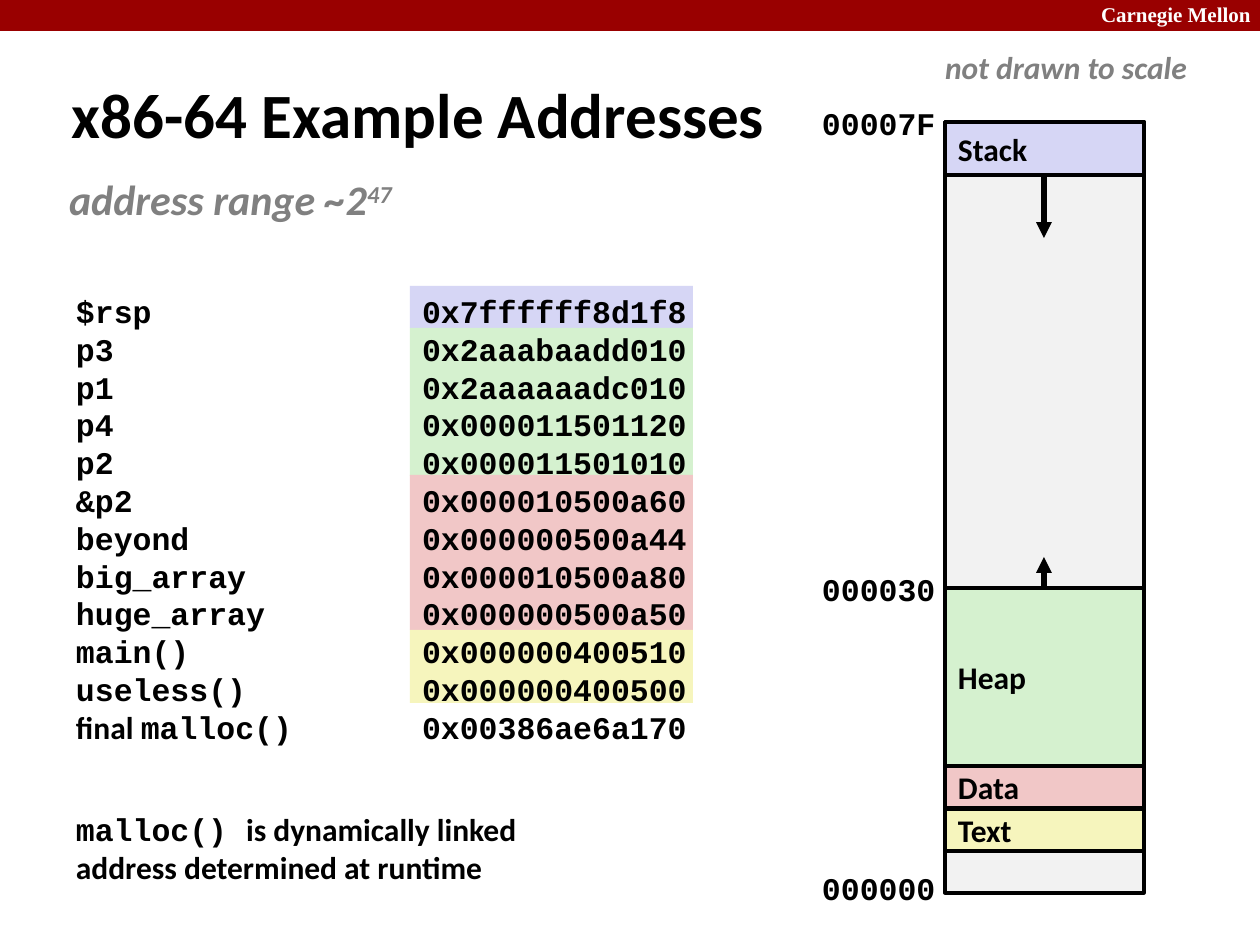
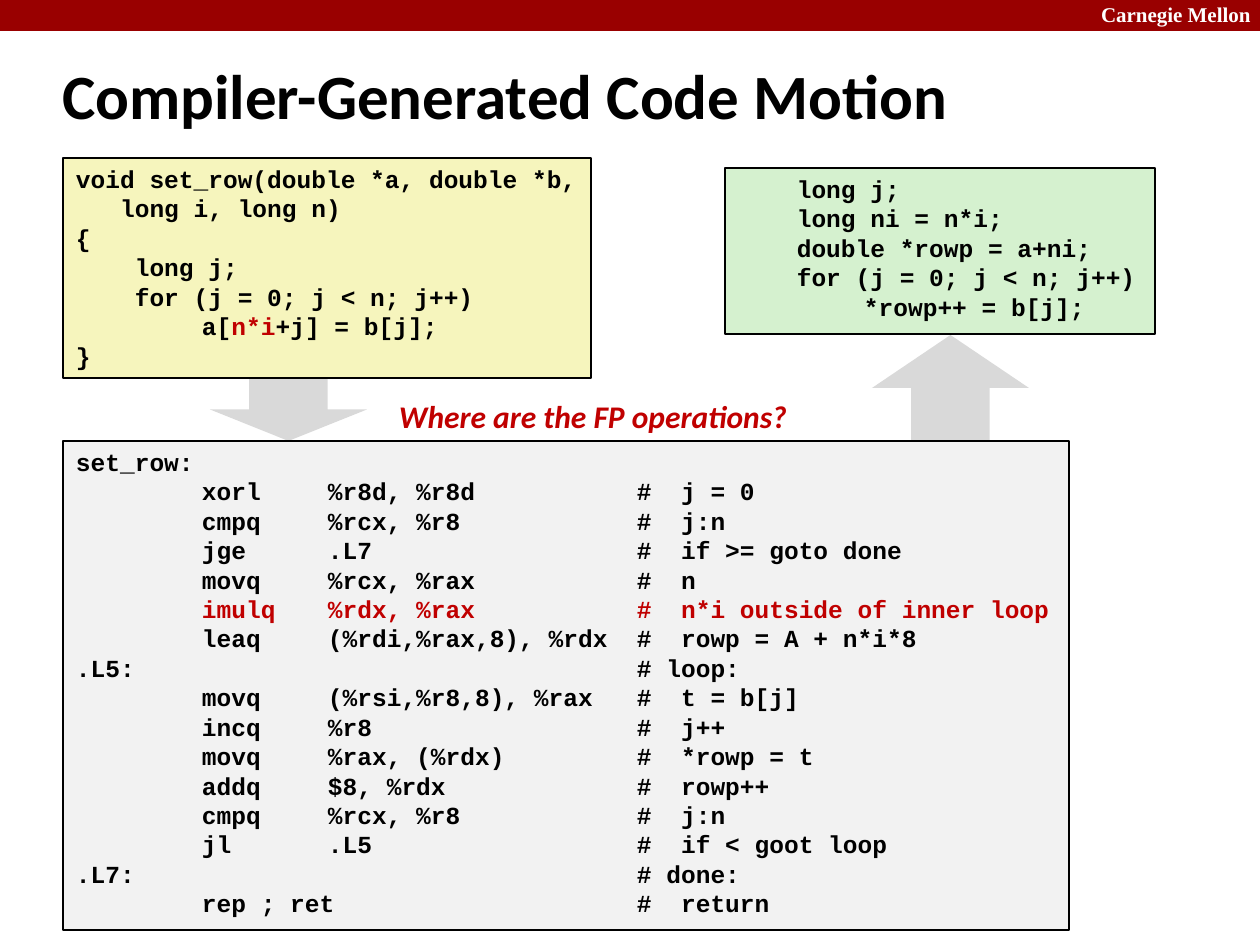
import pptx
import pptx.util
import pptx.dml.color
import pptx.enum.shapes
import pptx.enum.text
import pptx.oxml.ns
from lxml import etree

PX = 914400 / 126  # EMU in one px
COLORS = {
    "band": "990000", "white": "FFFFFF", "black": "000000", "gray": "808080",
    "red": "C00000", "blue": "D6D6F5", "green": "D5F1CF", "pink": "F1C7C7",
    "yellow": "F6F5BD", "pale": "F2F2F2", "arrow": "D9D9D9",
}
SHAPES = pptx.enum.shapes.MSO_SHAPE
MIDDLE = pptx.enum.text.MSO_ANCHOR.MIDDLE


def style(name, size, color="black", **extra):
    return dict(name=name, size=pptx.util.Pt(size), bold=True, color=color, **extra)


TITLE = style("Calibri", 36)
LABEL = style("Calibri", 18)
NOTE = style("Calibri", 18, "gray", italic=True)
RANGE = style("Calibri", 24, "gray", italic=True)
QUESTION = style("Calibri", 18, "red", italic=True)
HEADER = style("Times New Roman", 12, "white")
MONO = style("Courier New", 18)
CODE = style("Courier New", 14)
RED = {"color": "red"}
SANS = {"name": "Calibri"}


def emu(px):
    return round(px * PX)


def rgb(color):
    return pptx.dml.color.RGBColor.from_string(COLORS[color])


def add_tabs(para, stops):
    properties = para._p.get_or_add_pPr()
    tab_list = etree.SubElement(properties, pptx.oxml.ns.qn("a:tabLst"))
    for stop in stops:
        etree.SubElement(tab_list, pptx.oxml.ns.qn("a:tab"),
                         pos=str(emu(stop)), algn="l")


def add_span(para, text, values):
    span = para.add_run()
    span.text = text
    for key, value in values.items():
        if key == "color":
            span.font.color.rgb = rgb(value)
        elif key == "baseline":
            span._r.get_or_add_rPr().set(key, value)
        else:
            setattr(span.font, key, value)


def write(shape, lines, base, inset=13, anchor=None, tabs=()):
    """Each line is a string or a list of (text, changed format) pairs."""
    frame = shape.text_frame
    values = {
        "word_wrap": True, "auto_size": pptx.enum.text.MSO_AUTO_SIZE.NONE,
        "margin_left": emu(inset), "margin_right": emu(inset),
        "margin_top": emu(6), "margin_bottom": emu(6),
        "vertical_anchor": anchor or pptx.enum.text.MSO_ANCHOR.TOP,
    }
    for key, value in values.items():
        setattr(frame, key, value)
    for index, line in enumerate(lines):
        para = frame.paragraphs[0] if index == 0 else frame.add_paragraph()
        para.alignment = pptx.enum.text.PP_ALIGN.LEFT
        if base["name"] == "Courier New":
            para.line_spacing = pptx.util.Pt(base["size"].pt * 1.2)
        if tabs:
            # A line that starts with a label skips the inner code columns
            is_label = isinstance(line, str) and line.startswith(".L")
            add_tabs(para, tabs[-1:] if is_label else tabs)
        for text, changes in [(line, {})] if isinstance(line, str) else line:
            add_span(para, text, {**base, **changes})


def add_text(page, box, lines, base, **options):
    shape = page.shapes.add_textbox(*map(emu, box))
    write(shape, lines, base, **options)


def add_block(page, box, fill, line=0, kind=SHAPES.RECTANGLE):
    shape = page.shapes.add_shape(kind, *map(emu, box))
    shape.shadow.inherit = False
    shape.fill.solid()
    shape.fill.fore_color.rgb = rgb(fill)
    if line:
        shape.line.color.rgb = rgb("black")
        shape.line.width = pptx.util.Pt(line)
    else:
        shape.line.fill.background()
    return shape


def add_arrow(page, x, start, end):
    arrow = page.shapes.add_connector(pptx.enum.shapes.MSO_CONNECTOR.STRAIGHT,
                                      *map(emu, (x, start, x, end)))
    arrow.line.color.rgb = rgb("black")
    arrow.line.width = pptx.util.Pt(3)
    etree.SubElement(arrow.line._get_or_add_ln(),
                     pptx.oxml.ns.qn("a:tailEnd"), type="triangle")
    etree.SubElement(arrow._element.spPr, pptx.oxml.ns.qn("a:effectLst"))


def add_page(deck, title, box):
    page = deck.slides.add_slide(deck.slide_layouts[5])
    add_block(page, (0, 0, 1260, 31), "band")
    add_text(page, (1088, -4, 180, 38), ["Carnegie Mellon"], HEADER)
    holder = page.shapes.title
    holder.left, holder.top, holder.width, holder.height = map(emu, box)
    write(holder, [title], TITLE, anchor=MIDDLE)
    return page


# Slide 1: addresses and the memory they fall in

def address_list(page, box):
    left, top, width, height = box
    for offset, extent, fill in [(0, 42, "blue"), (42, 148, "green"),
                                 (189, 155, "pink"), (344, 73, "yellow")]:
        add_block(page, (left + 347, top + offset, 283, extent), fill)
    addresses = [
        ("$rsp", "0x7ffffff8d1f8"), ("p3", "0x2aaabaadd010"),
        ("p1", "0x2aaaaaadc010"), ("p4", "0x000011501120"),
        ("p2", "0x000011501010"), ("&p2", "0x000010500a60"),
        ("beyond", "0x000000500a44"), ("big_array", "0x000010500a80"),
        ("huge_array", "0x000000500a50"), ("main()", "0x000000400510"),
        ("useless()", "0x000000400500"),
    ]
    lines = [f"{name}\t{address}" for name, address in addresses]
    lines.append([("final ", SANS), ("malloc()\t0x00386ae6a170", {})])
    add_text(page, box, lines, MONO, tabs=[346])


def memory_map(page, box):
    left, top, width, height = box
    add_block(page, box, "pale", 2)
    for name, offset, extent, fill in [
            ("Stack", 0, 53, "blue"), ("Text", 687, 42, "yellow"),
            ("Data", 644, 42, "pink"), ("Heap", 466, 178, "green")]:
        segment = add_block(page, (left, top + offset, width, extent), fill, 2)
        write(segment, [name], LABEL, anchor=MIDDLE)
    # Directions of growth
    for start, end in [(53, 116), (466, 435)]:
        add_arrow(page, left + width // 2, top + start, top + end)
    # Boundary addresses
    for address, offset in [("00007F", -24), ("000030", 442), ("000000", 741)]:
        add_text(page, (left - 136, top + offset, 145, 50), [address], MONO)
    add_text(page, (left - 13, top - 80, 285, 50), ["not drawn to scale"], NOTE)


def address_page(deck):
    page = add_page(deck, "x86-64 Example Addresses", (59, 73, 906, 80))
    add_text(page, (63, 168, 360, 63),
             [[("address range ~2", {}), ("47", {"baseline": "30000"})]],
             RANGE, inset=6)
    address_list(page, (63, 286, 672, 470))
    memory_map(page, (945, 122, 199, 771))
    add_text(page, (63, 804, 480, 90),
             [[("malloc() ", MONO), ("is dynamically linked", {})],
              "address determined at runtime"], LABEL)


# Slide 2: source code, assembly and the rewritten loop

SOURCE = [
    "void set_row(double *a, double *b,",
    "   long i, long n)",
    "{",
    "    long j;",
    "    for (j = 0; j < n; j++)",
    [("\ta[", {}), ("n*i", RED), ("+j] = b[j];", {})],
    "}",
]
REWRITTEN = [
    "    long j;",
    "    long ni = n*i;",
    "    double *rowp = a+ni;",
    "    for (j = 0; j < n; j++)",
    "\t*rowp++ = b[j];",
]
ASSEMBLY = [
    "set_row:",
    "\txorl\t%r8d, %r8d\t#  j = 0",
    "\tcmpq\t%rcx, %r8\t#  j:n",
    "\tjge\t.L7\t#  if >= goto done",
    "\tmovq\t%rcx, %rax\t#  n",
    [("\timulq\t%rdx, %rax\t#  n*i outside of inner loop", RED)],
    "\tleaq\t(%rdi,%rax,8), %rdx\t#  rowp = A + n*i*8",
    ".L5:\t# loop:",
    "\tmovq\t(%rsi,%r8,8), %rax\t#  t = b[j]",
    "\tincq\t%r8\t#  j++",
    "\tmovq\t%rax, (%rdx)\t#  *rowp = t",
    "\taddq\t$8, %rdx\t#  rowp++",
    "\tcmpq\t%rcx, %r8\t#  j:n",
    "\tjl\t.L5\t#  if < goot loop",
    ".L7:\t# done:",
    "\trep ; ret\t#  return",
]


def code_box(page, box, lines, fill, tabs=(126,)):
    write(add_block(page, box, fill, 1), lines, CODE, tabs=tabs)


def code_page(deck):
    page = add_page(deck, "Compiler-Generated Code Motion", (49, 42, 1046, 105))
    add_block(page, (872, 335, 157, 106), "arrow", kind=SHAPES.UP_ARROW)
    add_block(page, (210, 378, 157, 63), "arrow", kind=SHAPES.DOWN_ARROW)
    code_box(page, (63, 441, 1006, 489), ASSEMBLY, "pale", (126, 252, 561))
    code_box(page, (725, 168, 430, 166), REWRITTEN, "green")
    code_box(page, (63, 158, 528, 220), SOURCE, "yellow")
    add_text(page, (393, 391, 420, 50), ["Where are the FP operations?"],
             QUESTION, inset=6)


def main():
    deck = pptx.Presentation()
    deck.slide_width, deck.slide_height = emu(1260), emu(945)
    address_page(deck)
    code_page(deck)
    deck.save("out.pptx")


if __name__ == "__main__":
    main()
